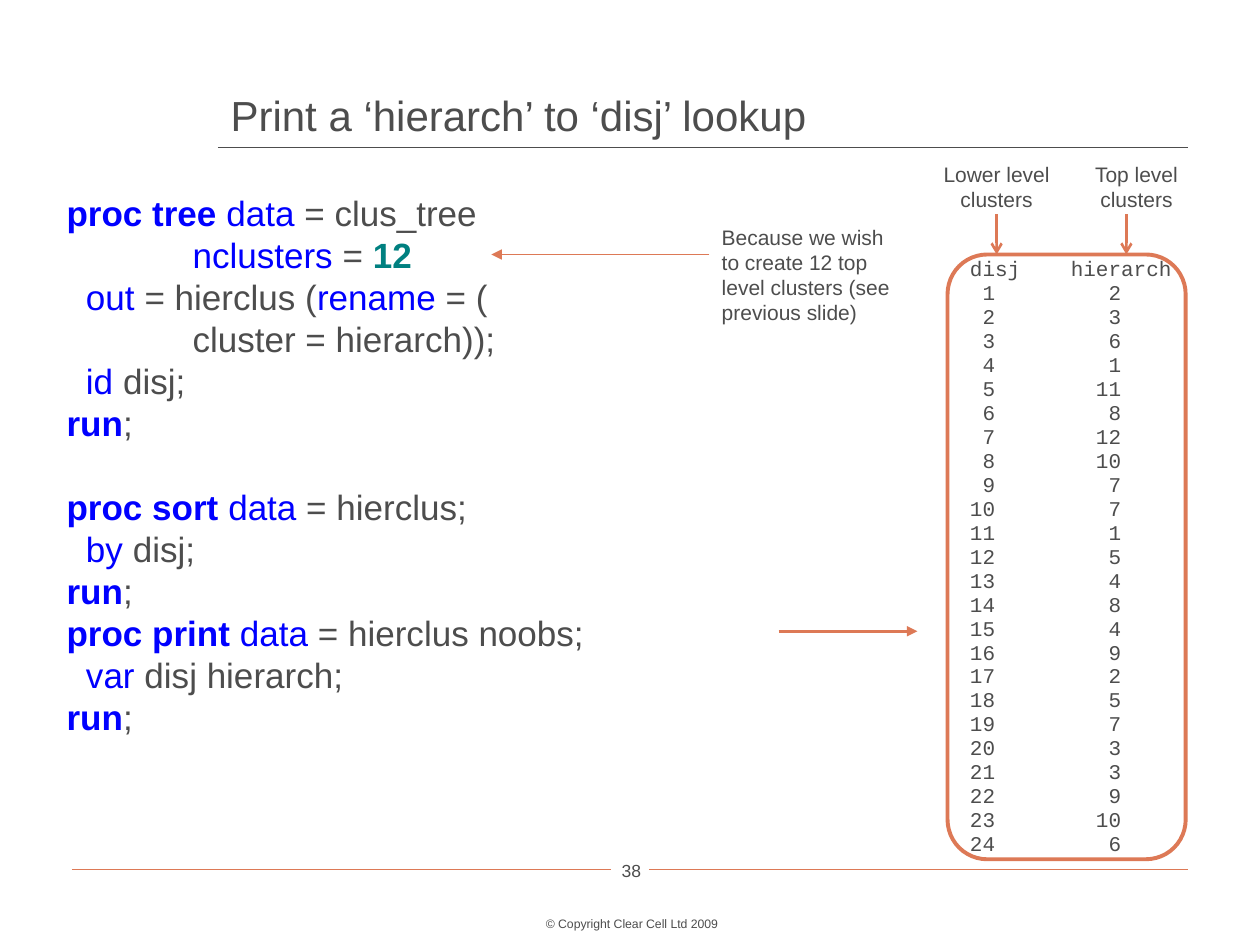
from lxml import etree
from pptx import Presentation
from pptx.dml.color import RGBColor
from pptx.enum.shapes import MSO_CONNECTOR, MSO_SHAPE
from pptx.enum.text import MSO_ANCHOR, MSO_AUTO_SIZE, PP_ALIGN
from pptx.oxml.ns import qn
from pptx.util import Inches, Pt

LEFT, CENTER = PP_ALIGN.LEFT, PP_ALIGN.CENTER
BOTTOM = MSO_ANCHOR.BOTTOM
FIXED = MSO_AUTO_SIZE.NONE
LINE = MSO_CONNECTOR.STRAIGHT
ROUND = MSO_SHAPE.ROUNDED_RECTANGLE

COLORS = {"text": "4D4D4D", "accent": "DD7956", "key": "0000FF", "num": "008080"}
STYLES = {"t": ("text", False), "k": ("key", False), "b": ("key", True), "n": ("num", True)}
RUN = [("b", "run"), ("t", ";")]
STEPS = [
    [
        [("b", "proc tree "), ("k", "data"), ("t", " = clus_tree")],
        [("k", "\tnclusters"), ("t", " = "), ("n", "12")],
        [("k", "  out"), ("t", " = hierclus ("), ("k", "rename"), ("t", " = (")],
        [("t", "\tcluster = hierarch));")],
        [("k", "  id"), ("t", " disj;")],
        RUN,
    ],
    [
        [("b", "proc sort "), ("k", "data"), ("t", " = hierclus;")],
        [("k", "  by"), ("t", " disj;")],
        RUN,
        [("b", "proc print "), ("k", "data"), ("t", " = hierclus noobs;")],
        [("k", "  var"), ("t", " disj hierarch;")],
        RUN,
    ],
]
TOPS = [2, 3, 6, 1, 11, 8, 12, 10, 7, 7, 1, 5, 4, 8, 4, 9, 2, 5, 7, 3, 3, 9, 10, 6]


def tint(name):
    """Return the named colour."""
    return RGBColor.from_string(COLORS[name])


def style(font, size, color="text", face="Arial", bold=False):
    """Set the face, size, colour and weight of a font."""
    font.name, font.size, font.bold = face, Pt(size), bold
    font.color.rgb = tint(color)


def add_tabs(para, stops, align="l"):
    """Add tab stops, in inches, to a paragraph."""
    tabs = etree.SubElement(para._p.get_or_add_pPr(), qn("a:tabLst"))
    for stop in stops:
        etree.SubElement(tabs, qn("a:tab"), pos=str(Inches(stop)), algn=align)


def add_frame(slide, box):
    """Add an empty wrapping text box and return its frame."""
    frame = slide.shapes.add_textbox(*map(Inches, box)).text_frame
    frame.word_wrap = True
    return frame


def add_label(slide, box, text, size, align=CENTER, pitch=None):
    """Add a one-paragraph label."""
    para = add_frame(slide, box).paragraphs[0]
    para.text, para.alignment = text, align
    if pitch:
        para.line_spacing = Pt(pitch)
    style(para.runs[0].font, size)


def add_line(slide, start, end, width, color="accent", head=None):
    """Draw a straight line with an optional arrowhead at its end."""
    line = slide.shapes.add_connector(LINE, *map(Inches, start + end))
    line.line.width = Pt(width)
    line.line.color.rgb = tint(color)
    if head:
        etree.SubElement(line.line._get_or_add_ln(), qn("a:tailEnd"), type=head)
    etree.SubElement(line._element.spPr, qn("a:effectLst"))


def add_title(slide, box):
    """Place the title and the rule under it."""
    left, top, width, height = box
    title = slide.shapes.title
    title.left, title.top, title.width, title.height = map(Inches, box)
    frame = title.text_frame
    frame.text = "Print a ‘hierarch’ to ‘disj’ lookup"
    frame.auto_size, frame.vertical_anchor = FIXED, BOTTOM
    frame.paragraphs[0].alignment = LEFT
    style(frame.paragraphs[0].runs[0].font, 24)
    rule = top + height + 0.01
    add_line(slide, (left, rule), (9.43, rule), 0.75, "text")


def add_footer(slide, box):
    """Place the page number between two rules, with the copyright below."""
    left, top, width, height = box
    mid, right = left + width / 2, left + width
    for start, end in ((left, mid - 0.15), (mid + 0.15, right)):
        add_line(slide, (start, top), (end, top), 0.75)
    add_label(slide, (mid - 0.2, top - 0.12, 0.42, 0.33), "38", 10)
    add_label(slide, (mid - 1.33, top + 0.32, 2.69, 0.22), "© Copyright Clear Cell Ltd 2009", 7)


def add_code(slide, box):
    """Write the coloured program, with a gap between its steps."""
    frame = add_frame(slide, box)
    para = frame.paragraphs[0]
    for step in STEPS:
        for row, parts in enumerate(step):
            if step is not STEPS[0] or row:
                para = frame.add_paragraph()
            para.line_spacing = Pt(24)
            if step is not STEPS[0] and row == 0:
                para.space_before = Pt(24)
            add_tabs(para, [1])
            for kind, text in parts:
                run = para.add_run()
                run.text = text
                color, bold = STYLES[kind]
                style(run.font, 20, color, bold=bold)


def add_lookup(slide, box):
    """Write the lookup listing in its rounded frame, with headings above."""
    left, top, width, height = box
    frame = add_frame(slide, (left - 0.12, top - 0.03, 2.13, height + 0.06))
    rows = [("disj", "hierarch"), *enumerate(TOPS, 1)]
    for row, pair in enumerate(rows):
        para = frame.add_paragraph() if row else frame.paragraphs[0]
        para.line_spacing = Pt(13.7)
        add_tabs(para, [0.4, 1.4] if row else [0.6, 1.8], "r")
        run = para.add_run()
        run.text = "".join(f"\t{cell}" for cell in pair)
        style(run.font, 12, face="Courier New")
    ring = slide.shapes.add_shape(ROUND, *map(Inches, box))
    ring.shadow.inherit = False
    ring.fill.background()
    ring.line.color.rgb = tint("accent")
    ring.line.width = Pt(2.25)
    heads = (("Lower level clusters", -0.16, 0.39), ("Top level clusters", 0.95, 1.42))
    for text, shift, tip in heads:
        add_label(slide, (left + shift, top - 0.79, 1.1, 0.5), text, 12, pitch=14.4)
        add_line(slide, (left + tip, top - 0.32), (left + tip, top), 1.5, head="arrow")


def add_note(slide, box):
    """Place the note on the cluster count and its arrow to the code."""
    left, top, width, height = box
    text = "Because we wish to create 12 top level clusters (see previous slide)"
    add_label(slide, box, text, 12, LEFT, 14.4)
    add_line(slide, (left, top + 0.29), (left - 1.73, top + 0.29), 1, head="triangle")


def main():
    """Build and save the slide."""
    deck = Presentation()
    deck.slide_width, deck.slide_height = Inches(10), Inches(7.5)
    slide = deck.slides.add_slide(deck.slide_layouts[5])
    add_footer(slide, (0.57, 6.9, 8.86, 0.54))
    add_title(slide, (1.73, 0.6, 7.78, 0.56))
    add_code(slide, (0.43, 1.47, 6.22, 4.44))
    add_note(slide, (5.63, 1.73, 1.57, 0.9))
    add_lookup(slide, (7.52, 2.02, 1.89, 4.8))
    add_line(slide, (6.18, 5.01), (7.28, 5.01), 1.5, head="triangle")
    deck.save("out.pptx")


if __name__ == "__main__":
    main()
